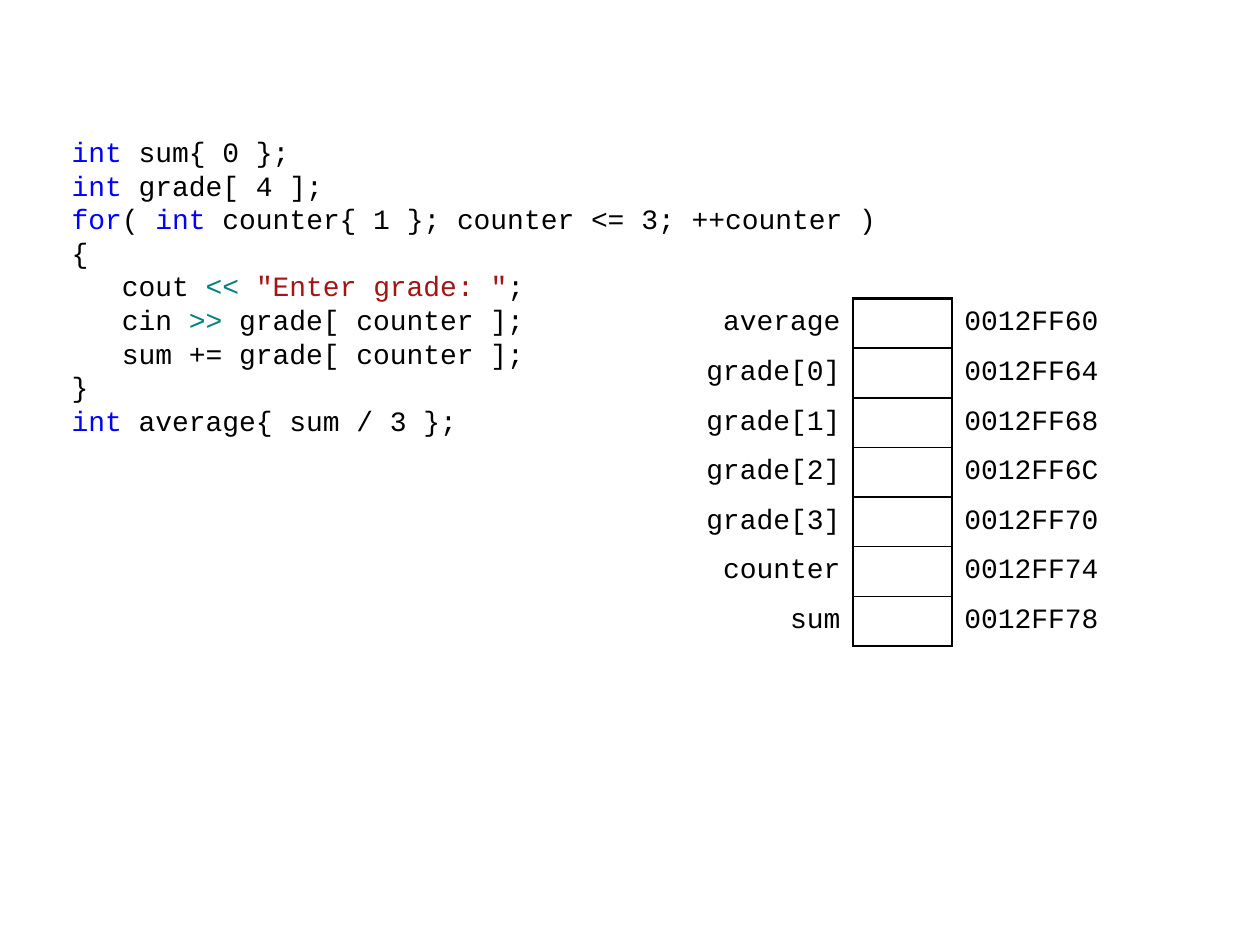
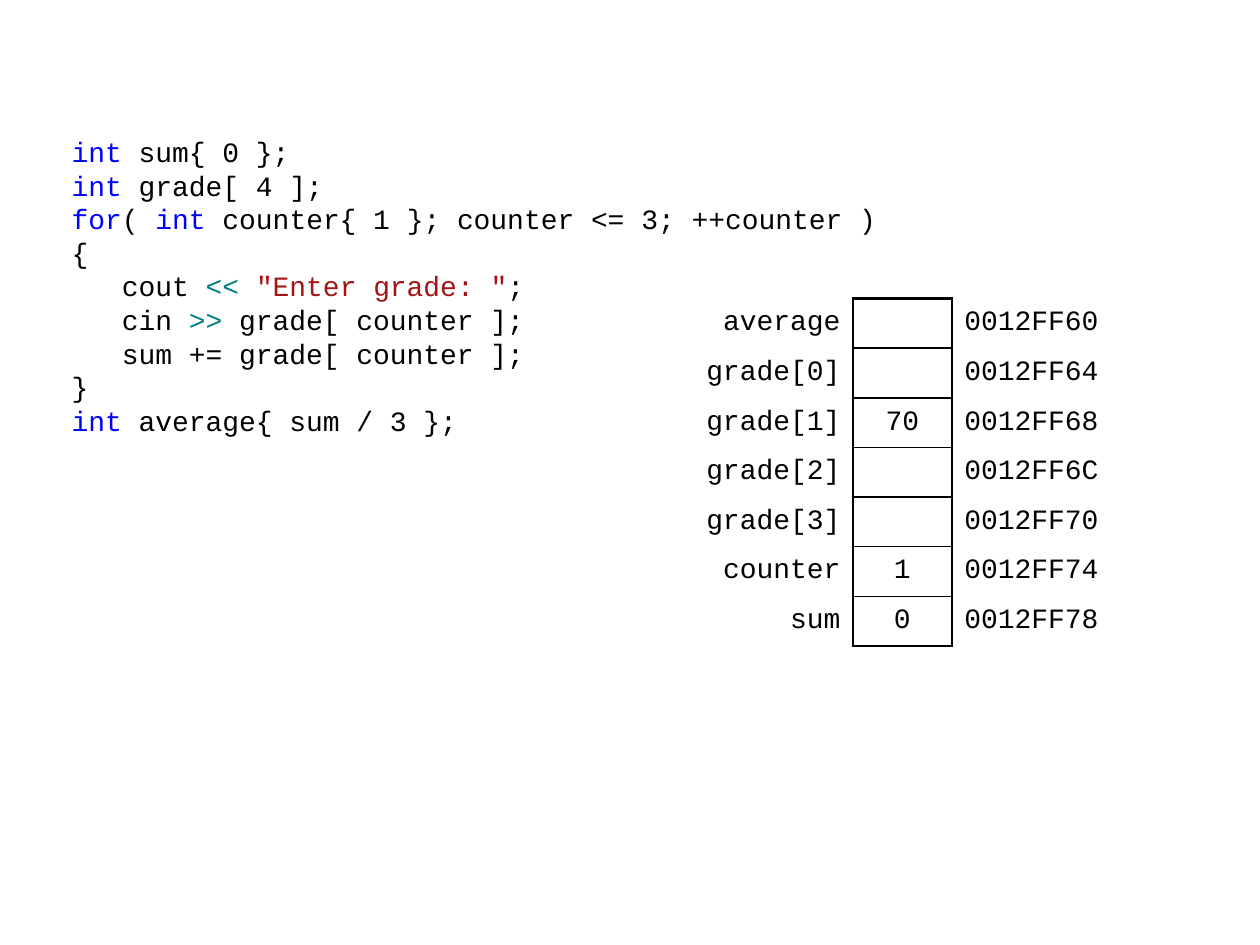
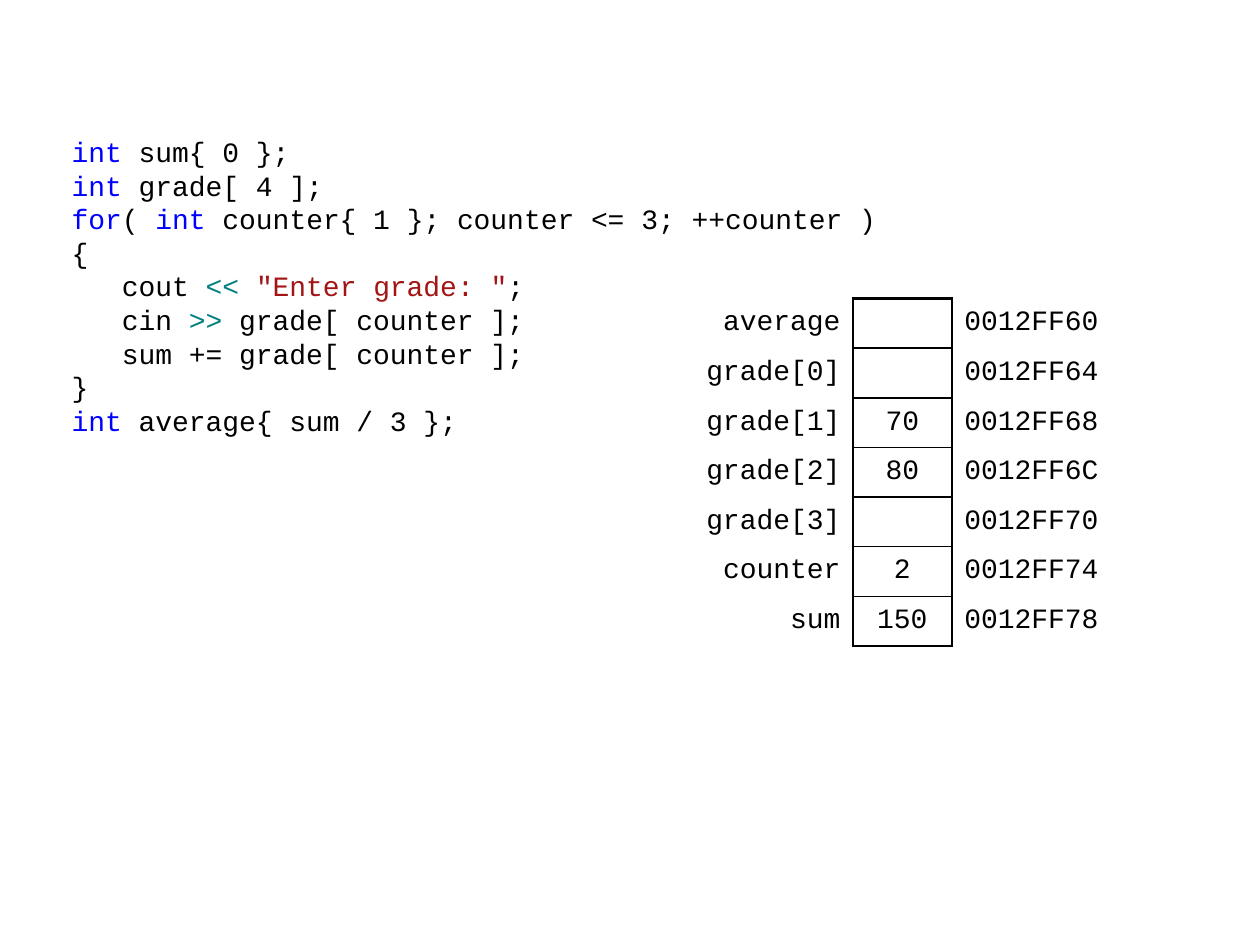
from lxml.etree import SubElement
from pptx import Presentation
from pptx.dml.color import RGBColor
from pptx.enum.text import MSO_ANCHOR, MSO_AUTO_SIZE, PP_ALIGN
from pptx.oxml.ns import qn
from pptx.util import Cm, Pt

FONT = "Courier New"
SIZE = Pt(16)
COLORS = {
    "plain": "000000",
    "keyword": "0000FF",
    "operator": "008080",
    "string": "A31515",
    "border": "000000",
}
NO_TABLE_STYLE = "{2D5ABB26-0587-4C30-8999-92F81FD0307C}"

# Program listing: one list of (text, colour name) runs per line
CODE = [
    [("int", "keyword"), (" sum{ 0 };", "plain")],
    [("int", "keyword"), (" grade[ 4 ];", "plain")],
    [("for", "keyword"), ("( ", "plain"), ("int", "keyword"),
     (" counter{ 1 }; counter <= 3; ++counter )", "plain")],
    [("{", "plain")],
    [("   cout ", "plain"), ("<< ", "operator"),
     ('"Enter grade: "', "string"), (";", "plain")],
    [("   cin ", "plain"), (">>", "operator"), (" grade[ counter ];", "plain")],
    [("   sum += grade[ counter ];", "plain")],
    [("}", "plain")],
    [("int", "keyword"), (" average{ sum / 3 };", "plain")],
]

# Memory layout: consecutive four-byte variables
VARIABLES = ["average", "grade[0]", "grade[1]", "grade[2]", "grade[3]",
             "counter", "sum"]
FIRST_ADDRESS = 0x0012FF60
BYTES_PER_INT = 4
COLUMN_WIDTHS = [Cm(3.5), Cm(2), Cm(3.5)]
ROW_HEIGHT = Cm(1)

# Known values on each slide
STATES = [
    {},
    {"grade[1]": "70", "counter": "1", "sum": "0"},
    {"grade[1]": "70", "grade[2]": "80", "counter": "2", "sum": "150"},
]


def add_run(paragraph, text, color="plain"):
    run = paragraph.add_run()
    run.text = text
    run.font.name = FONT
    run.font.size = SIZE
    run.font.color.rgb = RGBColor.from_string(COLORS[color])


def add_code(slide):
    body = slide.placeholders[1]
    body.left, body.top, body.width, body.height = (
        Cm(1.19), Cm(2.51), Cm(17), Cm(6.5))
    frame = body.text_frame
    frame.auto_size = MSO_AUTO_SIZE.NONE
    frame.word_wrap = True
    frame.vertical_anchor = MSO_ANCHOR.MIDDLE
    for index, line in enumerate(CODE):
        paragraph = frame.add_paragraph() if index else frame.paragraphs[0]
        properties = paragraph._p.get_or_add_pPr()
        properties.set("marL", "0")
        properties.set("indent", "0")
        SubElement(properties, qn("a:buNone"))
        paragraph.space_before = Pt(0)
        paragraph.line_spacing = Pt(19.2)
        for text, color in line:
            add_run(paragraph, text, color)


def set_borders(cell, **widths):
    """Draw the given sides (L, R, T, B, in this order) with widths in points."""
    properties = cell._tc.get_or_add_tcPr()
    for side, width in widths.items():
        line = SubElement(properties, qn(f"a:ln{side}"), w=str(Pt(width)))
        fill = SubElement(line, qn("a:solidFill"))
        SubElement(fill, qn("a:srgbClr"), val=COLORS["border"])


def fill_cell(cell, text, alignment):
    cell.fill.background()
    cell.vertical_anchor = MSO_ANCHOR.MIDDLE
    cell.margin_left = cell.margin_right = Cm(0.25)
    cell.margin_top = cell.margin_bottom = Cm(0.1)
    paragraph = cell.text_frame.paragraphs[0]
    paragraph.alignment = alignment
    paragraph.font.size = SIZE
    if text:
        add_run(paragraph, text)


def add_memory_table(slide, values):
    row_count = len(VARIABLES)
    frame = slide.shapes.add_table(
        row_count, len(COLUMN_WIDTHS), Cm(13.69), Cm(6.02),
        sum(COLUMN_WIDTHS), ROW_HEIGHT * row_count)
    table = frame.table
    table.first_row = table.horz_banding = False
    table._tbl.tblPr.find(qn("a:tableStyleId")).text = NO_TABLE_STYLE
    for column, width in zip(table.columns, COLUMN_WIDTHS):
        column.width = width

    for index, variable in enumerate(VARIABLES):
        table.rows[index].height = ROW_HEIGHT
        name_cell, value_cell, address_cell = table.rows[index].cells
        set_borders(name_cell, R=1.5)
        set_borders(value_cell, L=1.5, R=1.5,
                    T=1.5 if index == 0 else 1,
                    B=1.5 if index == row_count - 1 else 1)
        set_borders(address_cell, L=1.5)
        address = f"{FIRST_ADDRESS + BYTES_PER_INT * index:08X}"
        fill_cell(name_cell, variable, PP_ALIGN.RIGHT)
        fill_cell(value_cell, values.get(variable), PP_ALIGN.CENTER)
        fill_cell(address_cell, address, PP_ALIGN.LEFT)


def main():
    presentation = Presentation()
    presentation.slide_width = Cm(25.4)
    presentation.slide_height = Cm(19.05)
    for values in STATES:
        slide = presentation.slides.add_slide(presentation.slide_layouts[1])
        title = slide.shapes.title
        title._element.getparent().remove(title._element)
        add_code(slide)
        add_memory_table(slide, values)
    presentation.save("out.pptx")


if __name__ == "__main__":
    main()
